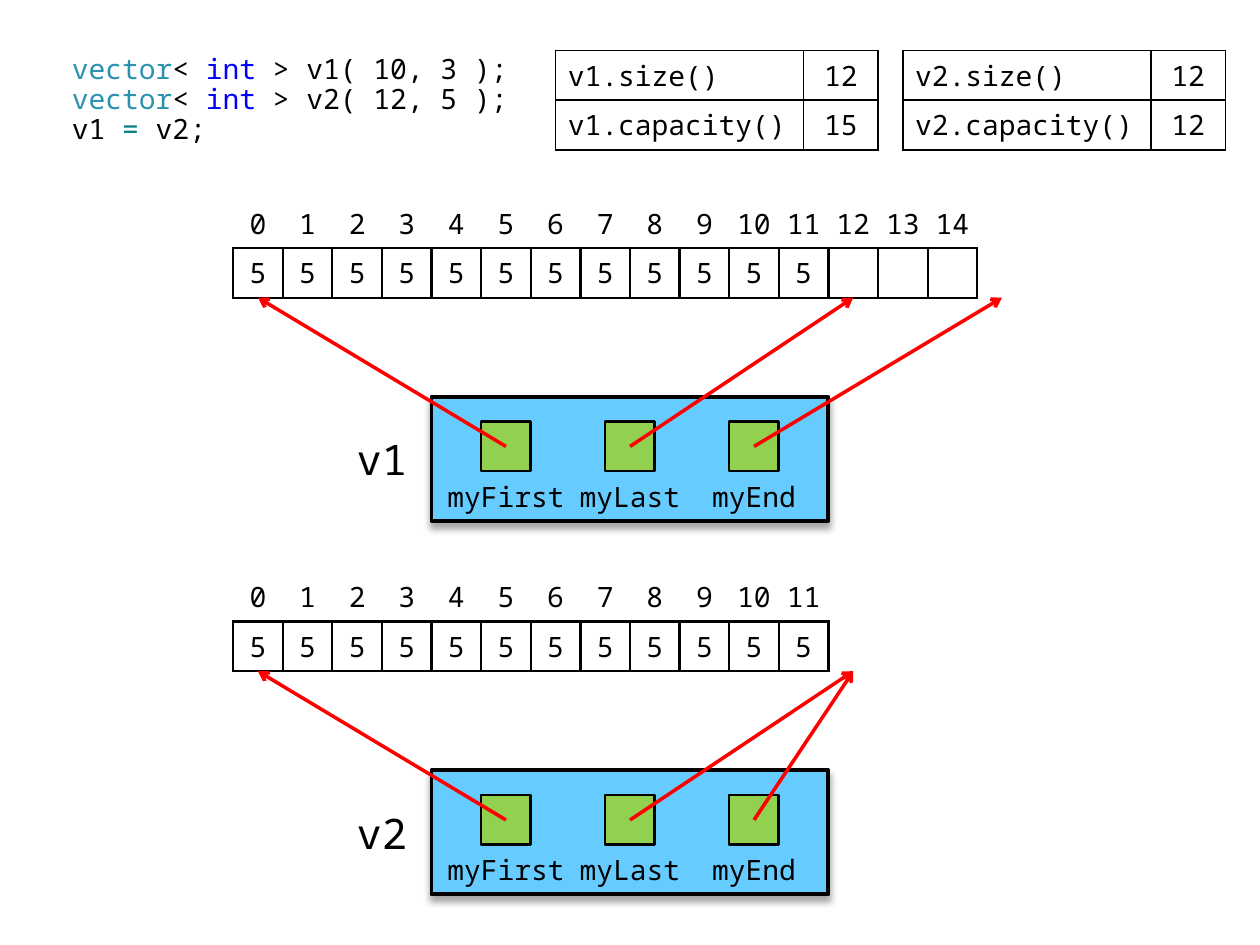
from lxml import etree
from pptx import Presentation
from pptx.dml.color import RGBColor
from pptx.enum.shapes import MSO_CONNECTOR, MSO_SHAPE
from pptx.enum.text import MSO_ANCHOR, PP_ALIGN
from pptx.oxml import parse_xml
from pptx.oxml.ns import nsdecls, qn
from pptx.util import Cm, Pt

FONT = "Noto Sans Mono"
CELL = Cm(1)  # every length on the slide is a multiple of one grid cell
CENTER, LEFT = PP_ALIGN.CENTER, PP_ALIGN.LEFT
MIDDLE = MSO_ANCHOR.MIDDLE
STRAIGHT = MSO_CONNECTOR.STRAIGHT
RECTANGLE, PROCESS = MSO_SHAPE.RECTANGLE, MSO_SHAPE.FLOWCHART_PROCESS
COLORS = {
    "black": "000000", "type": "2B91AF", "keyword": "0000FF", "operator": "008080",
    "object": "66CCFF", "pointer": "92D050", "arrow": "FF0000",
}
RGB = {name: RGBColor.from_string(value) for name, value in COLORS.items()}


def grid(*cells):
    """Turn grid columns and rows into slide lengths."""
    return [round(count * CELL) for count in cells]


def style_paragraph(paragraph, size=16, alignment=CENTER):
    paragraph.alignment = alignment
    paragraph.font.size = Pt(size)
    paragraph.font.name = FONT
    paragraph.font.color.rgb = RGB["black"]


presentation = Presentation()
presentation.slide_width, presentation.slide_height = grid(25.4, 19.05)
slide = presentation.slides.add_slide(presentation.slide_layouts[6])
shapes = slide.shapes

# Code
code_lines = [
    [("vector", "type"), ("< ", "black"), ("int", "keyword"), (" > v1( 10, 3 );", "black")],
    [("vector", "type"), ("< ", "black"), ("int", "keyword"), (" > v2( 12, 5 );", "black")],
    [("v1 ", "black"), ("= ", "operator"), ("v2;", "black")],
]
code_frame = shapes.add_textbox(*grid(1.2, 0.53, 9.5, 3)).text_frame
code_frame.word_wrap = True
code_frame.vertical_anchor = MIDDLE
for index, line in enumerate(code_lines):
    paragraph = code_frame.add_paragraph() if index else code_frame.paragraphs[0]
    style_paragraph(paragraph, alignment=LEFT)
    paragraph.line_spacing = 0.9
    for text, color in line:
        run = paragraph.add_run()
        run.text = text
        run.font.color.rgb = RGB[color]

# Vectors: name, size, capacity, column of the size table, top row of the drawing
vectors = [("v1", 12, 15, 11.2, 4), ("v2", 12, 12, 18.2, 11.53)]
ARRAY_LEFT, OBJECT_LEFT = 4.7, 8.7

# Tables: left, top, column widths, rows, border width, side margin, is an array
tables = []
for name, size, capacity, size_left, top in vectors:
    indexes = [str(index) for index in range(capacity)]
    values = ["5"] * size + [""] * (capacity - size)
    tables.append((ARRAY_LEFT, top, [1] * capacity, [indexes, values], 1.5, 0.15, True))
    facts = [[f"{name}.size()", str(size)], [f"{name}.capacity()", str(capacity)]]
    tables.append((size_left, 1.02, [5, 1.5], facts, 1, 0.25, False))

for left, top, widths, rows, border, margin, is_array in tables:
    frame = shapes.add_table(len(rows), len(widths), *grid(left, top, sum(widths), len(rows)))
    table = frame.table
    table.first_row = table.horz_banding = False
    for column, width in zip(table.columns, widths):
        column.width = round(width * CELL)
    for row_index, texts in enumerate(rows):
        table.rows[row_index].height = CELL
        for column_index, text in enumerate(texts):
            cell = table.cell(row_index, column_index)
            cell.text = text
            cell.vertical_anchor = MIDDLE
            cell.margin_left = cell.margin_right = round(margin * CELL)
            cell.margin_top = cell.margin_bottom = round(0.1 * CELL)
            is_centered = is_array or column_index == 1
            style_paragraph(cell.text_frame.paragraphs[0],
                            alignment=CENTER if is_centered else LEFT)
            is_index = is_array and row_index == 0
            properties = cell._tc.get_or_add_tcPr()
            for side in "LRTB":
                edge = etree.SubElement(properties, qn(f"a:ln{side}"), w=str(Pt(border)))
                if is_index and side != "B":
                    etree.SubElement(edge, qn("a:noFill"))
                else:
                    fill = etree.SubElement(edge, qn("a:solidFill"))
                    etree.SubElement(fill, qn("a:srgbClr"), val=COLORS["black"])
            cell.fill.background()

# Objects with their three pointers
for name, size, capacity, size_left, top in vectors:
    box = shapes.add_shape(PROCESS, *grid(OBJECT_LEFT, top + 4, 8, 2.5))
    box.fill.solid()
    box.fill.fore_color.rgb = RGB["object"]
    box.line.color.rgb = RGB["black"]
    box.line.width = Pt(2.25)
    box._element.spPr.append(parse_xml(
        f'<a:effectLst {nsdecls("a")}><a:outerShdw blurRad="{Pt(4)}" dist="{Pt(3)}" '
        f'dir="5400000" rotWithShape="0"><a:srgbClr val="{COLORS["black"]}">'
        '<a:alpha val="35000"/></a:srgbClr></a:outerShdw></a:effectLst>'))

    # Pointer label, its column, and the array index it points to
    pointers = [("myFirst", OBJECT_LEFT, 0), ("myLast", OBJECT_LEFT + 2.5, size),
                ("myEnd", OBJECT_LEFT + 5, capacity)]
    labels = [(name, OBJECT_LEFT - 2, top + 4.5, 2, 1.5, 24)]
    labels += [(text, left, top + 5.5, 3, 1, 16) for text, left, target in pointers]
    for text, left, label_top, width, height, font_size in labels:
        text_frame = shapes.add_textbox(*grid(left, label_top, width, height)).text_frame
        text_frame.word_wrap = True
        text_frame.vertical_anchor = MIDDLE
        text_frame.text = text
        style_paragraph(text_frame.paragraphs[0], font_size)

    for text, left, target in pointers:
        square = shapes.add_shape(RECTANGLE, *grid(left + 1, top + 4.5, 1, 1))
        square.shadow.inherit = False
        square.fill.solid()
        square.fill.fore_color.rgb = RGB["pointer"]
        square.line.color.rgb = RGB["black"]
        square.line.width = Pt(1.5)

    for text, left, target in pointers:
        arrow = shapes.add_connector(STRAIGHT, *grid(
            left + 1.5, top + 5, ARRAY_LEFT + target + 0.5, top + 2))
        arrow.line.color.rgb = RGB["arrow"]
        arrow.line.width = Pt(2)
        etree.SubElement(arrow.line._get_or_add_ln(), qn("a:tailEnd"), type="arrow")
        etree.SubElement(arrow._element.spPr, qn("a:effectLst"))

presentation.save("out.pptx")
